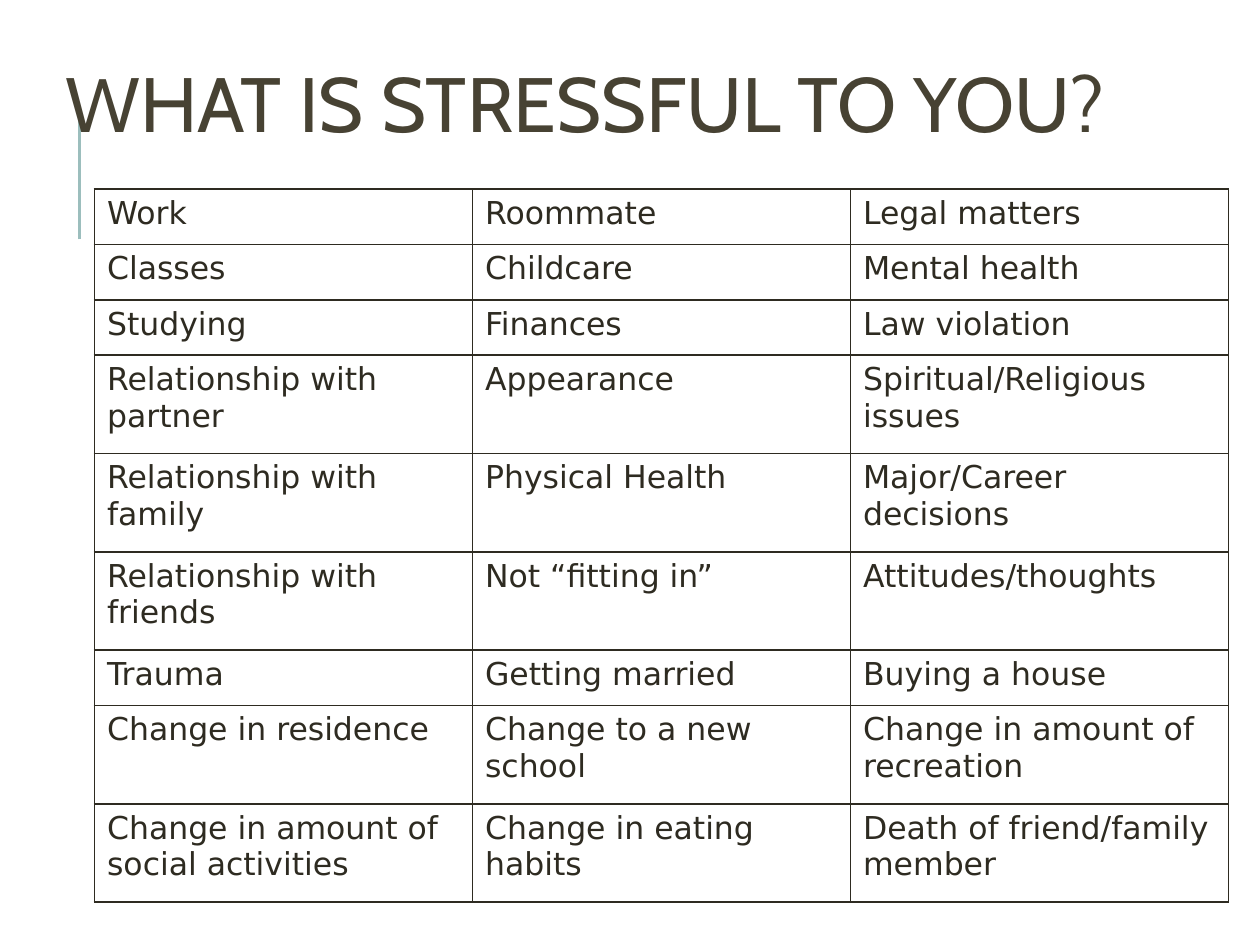
from dataclasses import dataclass

from lxml import etree
from pptx import Presentation
from pptx.dml.color import RGBColor
from pptx.enum import shapes, text
from pptx.oxml import ns
from pptx.util import Pt

HUES = {"title": "474233", "ink": "2E2B21", "rule": "9CBEBD"}
EDGE = 1.08
LOW, TALL = 31.68, 56.16


@dataclass
class Row:
    high: float
    words: tuple[str, str, str]


ROWS = [
    Row(LOW, ("Work", "Roommate", "Legal matters")),
    Row(LOW, ("Classes", "Childcare", "Mental health")),
    Row(LOW, ("Studying", "Finances", "Law violation")),
    Row(TALL, ("Relationship with partner", "Appearance",
               "Spiritual/Religious issues")),
    Row(TALL, ("Relationship with family", "Physical Health",
               "Major/Career decisions")),
    Row(TALL, ("Relationship with friends", "Not “fitting in”",
               "Attitudes/thoughts")),
    Row(LOW, ("Trauma", "Getting married", "Buying a house")),
    Row(TALL, ("Change in residence", "Change to a new school",
               "Change in amount of recreation")),
    Row(TALL, ("Change in amount of social activities",
               "Change in eating habits", "Death of friend/family member")),
]


def style(para, face: str, size: float, hue: str) -> None:
    para.font.name = face
    para.font.size = Pt(size)
    para.font.color.rgb = RGBColor.from_string(HUES[hue])


def frame(cell) -> None:
    """Draw a thin border on all four sides of a cell."""
    props = cell._tc.get_or_add_tcPr()
    for spot, side in enumerate(("lnL", "lnR", "lnT", "lnB")):
        line = etree.Element(ns.qn(f"a:{side}"), w=str(Pt(EDGE)))
        fill = etree.SubElement(line, ns.qn("a:solidFill"))
        etree.SubElement(fill, ns.qn("a:srgbClr"), val=HUES["ink"])
        props.insert(spot, line)


def add_rule(slide) -> None:
    rule = slide.shapes.add_connector(
        shapes.MSO_CONNECTOR.STRAIGHT, Pt(45.36), Pt(136.8), Pt(45.36), Pt(64.8))
    rule.line.color.rgb = RGBColor.from_string(HUES["rule"])
    rule.line.width = Pt(1.5)
    etree.SubElement(rule._element.spPr, ns.qn("a:effectLst"))


def add_title(slide, words: str) -> None:
    box = slide.shapes.add_textbox(Pt(30.24), Pt(18), Pt(648), Pt(90))
    body = box.text_frame
    body.word_wrap = True
    body.vertical_anchor = text.MSO_ANCHOR.MIDDLE
    para = body.paragraphs[0]
    para.text = words
    para.line_spacing = 0.8
    style(para, "Cabin", 44, "title")


def add_grid(slide, rows: list[Row]) -> None:
    high = sum(row.high for row in rows)
    grid = slide.shapes.add_table(
        len(rows), 3, Pt(54), Pt(108), Pt(648), Pt(high)).table
    grid.first_row = grid.horz_banding = False
    for line, row in zip(grid.rows, rows):
        line.height = Pt(row.high)
        for cell, words in zip(line.cells, row.words):
            cell.text = words
            cell.fill.background()
            frame(cell)
            style(cell.text_frame.paragraphs[0], "DejaVu Sans", 18, "ink")


def main() -> None:
    deck = Presentation()
    deck.slide_width, deck.slide_height = Pt(720), Pt(540)
    slide = deck.slides.add_slide(deck.slide_layouts[6])

    # Accent line behind the heading
    add_rule(slide)
    # Heading
    add_title(slide, "WHAT IS STRESSFUL TO YOU?")
    # Table of stressors
    add_grid(slide, ROWS)

    deck.save("out.pptx")


if __name__ == "__main__":
    main()
